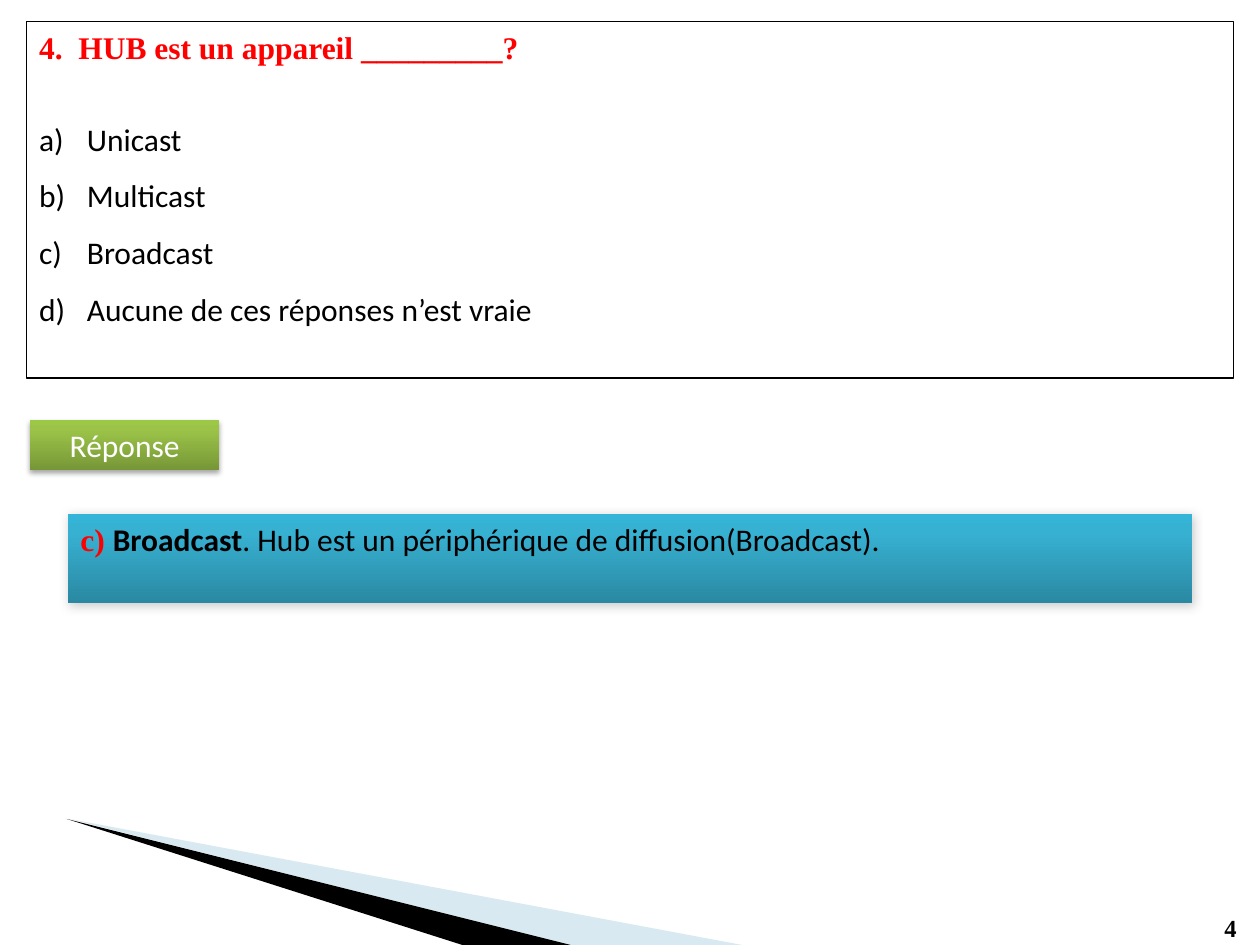
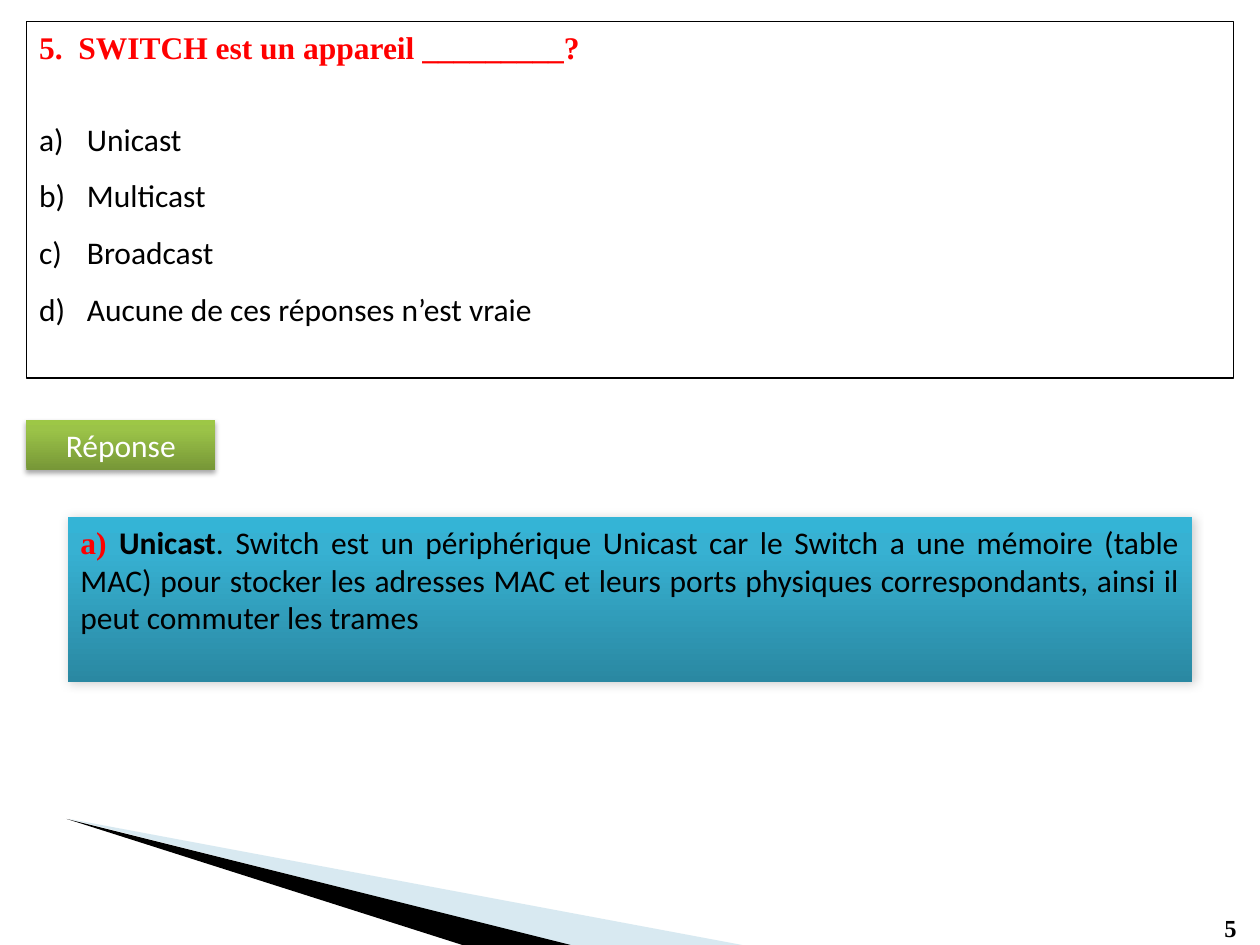
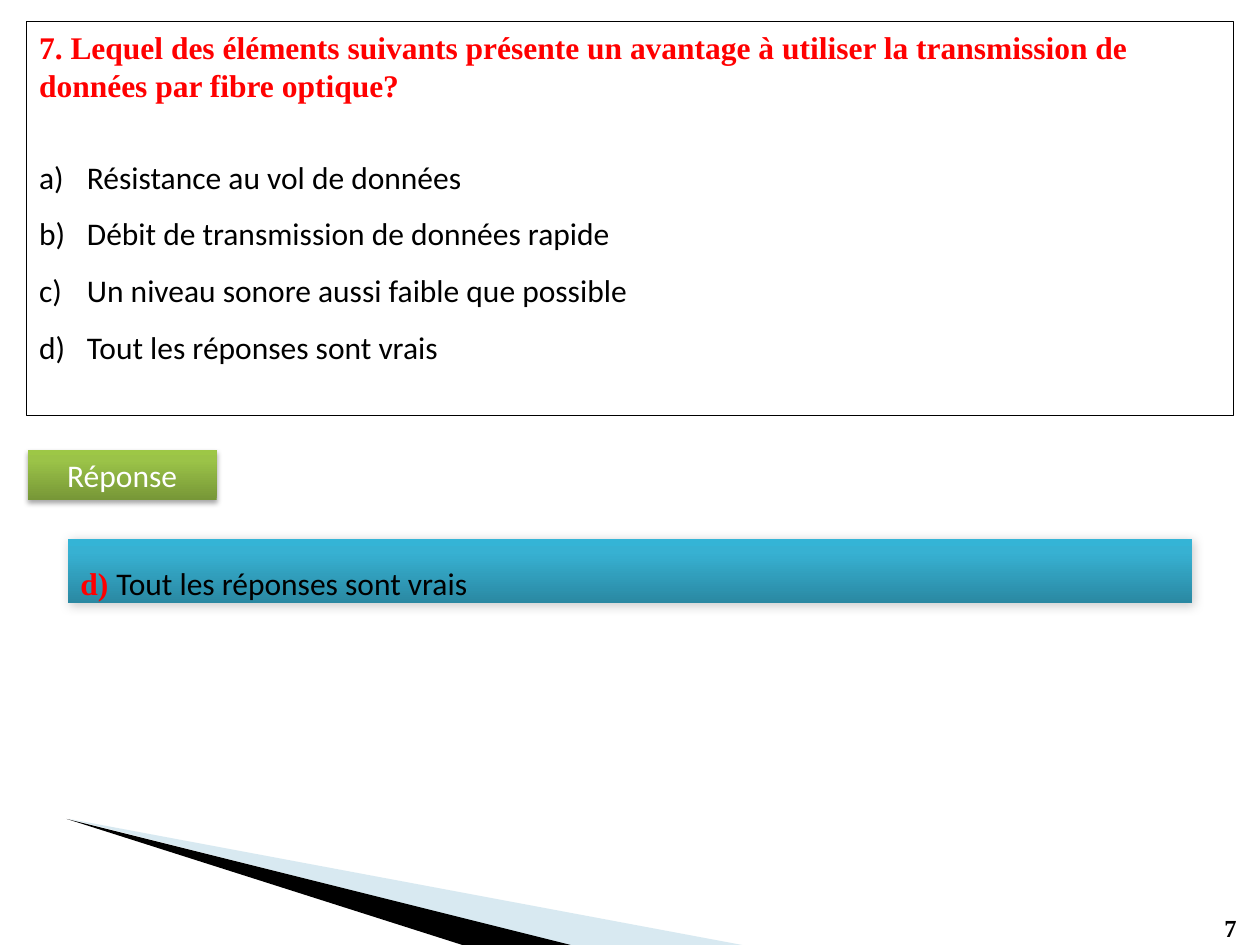
from dataclasses import dataclass

from pptx import Presentation
from pptx.dml.color import RGBColor as Rgb
from pptx.enum.shapes import MSO_SHAPE as Shape
from pptx.enum.text import MSO_ANCHOR as Anchor, MSO_AUTO_SIZE as Fit, PP_ALIGN as Align
from pptx.oxml import parse_xml
from pptx.oxml.ns import nsdecls
from pptx.util import Inches, Pt


@dataclass(frozen=True)
class Theme:
    serif: str = "Times New Roman"
    sans: str = "Calibri"
    size: int = 18
    small: int = 14
    black: str = "000000"
    white: str = "FFFFFF"
    red: str = "FF0000"
    pale: str = "9FCADC"
    # Gradient stops at 0, 80 and 100 %, from the bottom up
    green: tuple = ("779737", "9BC348", "9DC746")
    blue: tuple = ("2A88A2", "37B1D2", "34B4D6")
    # Opacity %, blur pt, distance pt, angle
    firm: tuple = (35, 3.1, 1.8, 90)
    soft: tuple = (20, 6, 1, 45)


@dataclass(frozen=True)
class Quiz:
    num: str
    ask: str
    lines: int
    picks: tuple
    tag: tuple
    box: tuple
    reply: tuple
    gap: float = 1.0


T = Theme()
LINE = 0.3
MODES = ("Unicast", "Multicast", "Broadcast", "Aucune de ces réponses n’est vraie")
QUIZZES = (
    Quiz("4", "4.  HUB est un appareil _________?", 1, MODES,
         (0.24, 3.33), (0.54, 4.08, 8.92, 0.71),
         ("c) ", "Broadcast", ". Hub est un périphérique de diffusion(Broadcast).")),
    Quiz("5", "5.  SWITCH est un appareil _________?", 1, MODES,
         (0.21, 3.33), (0.54, 4.1, 8.92, 1.31),
         ("a) ", "Unicast", ". Switch est un périphérique Unicast car le Switch a une "
          "mémoire (table MAC) pour stocker les adresses MAC et leurs ports physiques "
          "correspondants, ainsi il peut commuter les trames")),
    Quiz("7", "7. Lequel des éléments suivants présente un avantage à utiliser "
         "la transmission de données par fibre optique?", 2,
         ("Résistance au vol de données", "Débit de transmission de données rapide",
          "Un niveau sonore aussi faible que possible", "Tout les réponses sont vrais"),
         (0.22, 3.57), (0.54, 4.28, 8.92, 0.51),
         ("d) ", "", "Tout les réponses sont vrais"), 1.5),
)


def style(font, face, color, bold=False, size=T.size):
    font.name, font.size, font.bold = face, Pt(size), bold
    font.color.rgb = Rgb.from_string(color)


def place(shape, x, y, w, h):
    shape.left, shape.top, shape.width, shape.height = map(Inches, (x, y, w, h))


def frame(shape):
    """Give the shape a wrapped text frame that starts at the top."""
    text = shape.text_frame
    text.word_wrap, text.auto_size = True, Fit.NONE
    text.vertical_anchor = Anchor.TOP
    return text


def panel(slide, box, stops, shade):
    """Add a rectangle with a vertical gradient and an outer shadow."""
    shape = slide.shapes.add_shape(Shape.RECTANGLE, *map(Inches, box))
    marks = "".join(f'<a:gs pos="{pos}000"><a:srgbClr val="{color}"/></a:gs>'
                    for pos, color in zip((0, 80, 100), stops))
    props = shape.element.spPr
    props.append(parse_xml(
        f'<a:gradFill {nsdecls("a")} rotWithShape="1"><a:gsLst>{marks}</a:gsLst>'
        '<a:lin ang="16200000" scaled="0"/></a:gradFill>'))
    shape.line.fill.background()
    alpha, blur, dist, angle = shade
    props.append(parse_xml(
        f'<a:effectLst {nsdecls("a")}><a:outerShdw blurRad="{Pt(blur)}" '
        f'dist="{Pt(dist)}" dir="{angle * 60000}" rotWithShape="0">'
        f'<a:srgbClr val="{T.black}"><a:alpha val="{alpha}000"/></a:srgbClr>'
        '</a:outerShdw></a:effectLst>'))
    return shape


def question(slide, quiz, x, y, w):
    head = LINE * quiz.lines
    title, body = slide.shapes.title, slide.placeholders[1]
    place(title, x, y, w, head + 0.1)
    para = frame(title).paragraphs[0]
    para.text, para.alignment = quiz.ask, Align.LEFT
    style(para.font, T.serif, T.red, True)

    place(body, x, y, w, head + 2.53)
    body.line.color.rgb = Rgb.from_string(T.black)
    body.line.width = Pt(0.75)
    text = frame(body)
    text.margin_top = Inches(head + 0.33)
    text.text = "\n".join(quiz.picks)
    for para in text.paragraphs:
        para.line_spacing, para.space_before = 1.5, Pt(0)
        style(para.font, T.sans, T.black)
        props = para._p.get_or_add_pPr()
        indent = Inches(0.38)
        props.set("marL", str(indent))
        props.set("indent", str(-indent))
        props.append(parse_xml(f'<a:buFont {nsdecls("a")} typeface="+mj-lt"/>'))
        props.append(parse_xml(f'<a:buAutoNum {nsdecls("a")} type="alphaLcParenR"/>'))


def label(slide, x, y):
    para = frame(panel(slide, (x, y, 1.5, 0.4), T.green, T.firm)).paragraphs[0]
    para.text, para.alignment = "Réponse", Align.CENTER
    style(para.font, T.sans, T.white)


def answer(slide, quiz):
    para = frame(panel(slide, quiz.box, T.blue, T.soft)).paragraphs[0]
    para.alignment, para.line_spacing = Align.JUSTIFY, quiz.gap
    looks = ((T.serif, T.red, True), (T.sans, T.black, True), (T.sans, T.black, False))
    for words, look in zip(quiz.reply, looks):
        if words:
            run = para.add_run()
            run.text = words
            style(run.font, *look)


def number(slide, num):
    box = slide.shapes.add_textbox(*map(Inches, (9.62, 7.2, 0.36, 0.34)))
    para = frame(box).paragraphs[0]
    para.text = num
    style(para.font, T.serif, T.black, True, T.small)


def wedge(slide, points, color, alpha=100):
    """Draw a corner wedge and move it to the slide's layout."""
    first, *rest = [tuple(map(Inches, point)) for point in points]
    pen = slide.shapes.build_freeform(*first)
    pen.add_line_segments(rest)
    shape = pen.convert_to_shape()
    shape.shadow.inherit = False
    shape.line.fill.background()
    shape.fill.solid()
    shape.fill.fore_color.rgb = Rgb.from_string(color)
    tint = shape.element.spPr.find(".//{*}srgbClr")
    if alpha < 100:
        tint.append(parse_xml(f'<a:alpha {nsdecls("a")} val="{alpha}000"/>'))
    slide.slide_layout.shapes.element.append(shape.element)


def main():
    deck = Presentation()
    deck.slide_width, deck.slide_height = Inches(10), Inches(7.5)
    for quiz in QUIZZES:
        slide = deck.slides.add_slide(deck.slide_layouts[1])
        question(slide, quiz, 0.21, 0.17, 9.58)
        label(slide, *quiz.tag)
        answer(slide, quiz)
        number(slide, quiz.num)
    wedge(slide, ((0.55, 6.5), (4.51, 7.5), (5.89, 7.5)), T.pale, 40)
    wedge(slide, ((0.53, 6.5), (3.67, 7.5), (4.53, 7.5)), T.black)
    deck.save("out.pptx")


if __name__ == "__main__":
    main()
